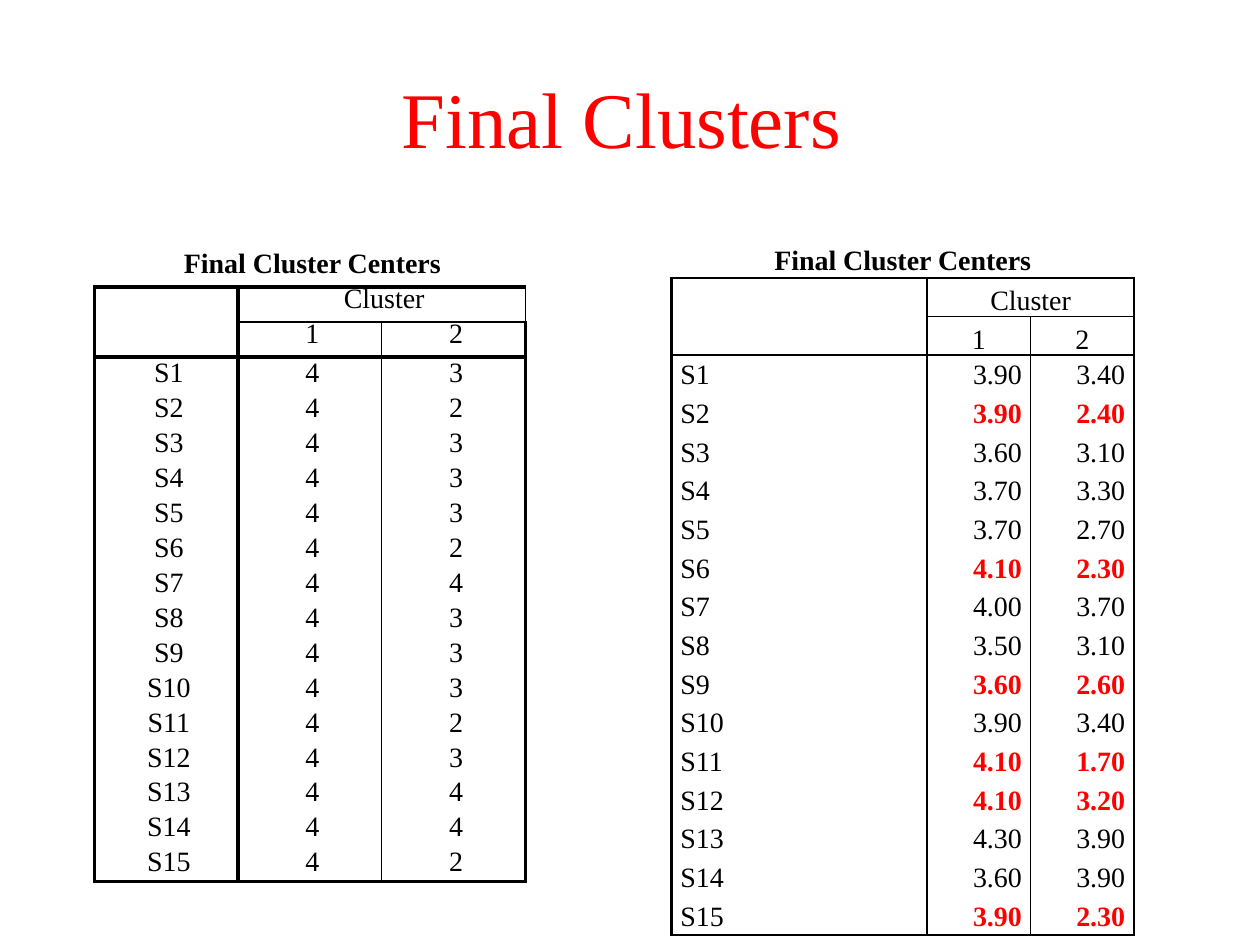
import pptx
import pptx.util
import pptx.dml.color
import pptx.enum.text
import pptx.oxml.ns
from lxml import etree

Inches = pptx.util.Inches
Pt = pptx.util.Pt
qn = pptx.oxml.ns.qn
ALIGN = pptx.enum.text.PP_ALIGN
ANCHOR = pptx.enum.text.MSO_ANCHOR
SERIF = "Times New Roman"
RED, BLACK, WHITE = "FF0000", "000000", "FFFFFF"

COUNTS = [(4, int(n)) for n in "323332433323442"]
MEANS = [
    ("3.90", "3.40"), ("3.90", "2.40"), ("3.60", "3.10"), ("3.70", "3.30"),
    ("3.70", "2.70"), ("4.10", "2.30"), ("4.00", "3.70"), ("3.50", "3.10"),
    ("3.60", "2.60"), ("3.90", "3.40"), ("4.10", "1.70"), ("4.10", "3.20"),
    ("4.30", "3.90"), ("3.60", "3.90"), ("3.90", "2.30"),
]
MARKED = {"S2", "S6", "S9", "S11", "S12", "S15"}


def color(code):
    return pptx.dml.color.RGBColor.from_string(code)


def add_run(para, text, size, code=BLACK, bold=False, face=SERIF):
    run = para.add_run()
    run.text = text
    run.font.size = Pt(size)
    run.font.name = face
    run.font.bold = bold
    run.font.color.rgb = color(code)


def add_title(slide, left, top, width, height):
    box = slide.shapes.add_textbox(
        Inches(left), Inches(top), Inches(width), Inches(height))
    frame = box.text_frame
    frame.word_wrap = True
    frame.vertical_anchor = ANCHOR.MIDDLE
    para = frame.paragraphs[0]
    para.alignment = ALIGN.CENTER
    add_run(para, "Final Clusters", 45, RED)
    add_run(para, " ", 44, face="Calibri")


def draw_edges(cell, widths):
    props = cell._tc.get_or_add_tcPr()
    for side, width in zip("LRTB", widths):
        line = etree.SubElement(props, qn("a:ln" + side), w=str(Pt(width)))
        if width:
            fill = etree.SubElement(line, qn("a:solidFill"))
            etree.SubElement(fill, qn("a:srgbClr"), val=BLACK)
        else:
            etree.SubElement(line, qn("a:noFill"))


def find_edges(row, col, last, thick, rim):
    if row == 0:
        return 0, 0, 0, thick
    left = thick if col < 2 else 1
    right = 1 if col == 1 else thick
    if row == 1 and col > 0:
        right = rim
    split = 1 if col > 0 else 0
    top = {1: thick, 2: split, 3: thick}.get(row, 0)
    base = {1: split, 2: thick, last: thick}.get(row, 0)
    return left, right, top, base


def add_centers(slide, box, cols, data, thick, rim, pad, space, indent,
                aligns, anchors, marked, back):
    rows = [("Final Cluster Centers", "", ""), ("", "Cluster", ""), ("", "1", "2")]
    rows += [(f"S{i}", str(a), str(b)) for i, (a, b) in enumerate(data, 1)]
    last = len(rows) - 1
    table = slide.shapes.add_table(
        len(rows), len(cols), *[Inches(n) for n in box]).table
    table.first_row = False
    table.horz_banding = False
    for col, width in zip(table.columns, cols):
        col.width = Inches(width)
    for start, end in (((0, 0), (0, 2)), ((1, 0), (2, 0)), ((1, 1), (1, 2))):
        table.cell(*start).merge(table.cell(*end))

    for r, texts in enumerate(rows):
        for c, text in enumerate(texts):
            cell = table.cell(r, c)
            draw_edges(cell, find_edges(r, c, last, thick, rim))
            if back:
                cell.fill.solid()
                cell.fill.fore_color.rgb = color(back)
            else:
                cell.fill.background()
            cell.margin_left = cell.margin_right = Inches(pad)
            cell.margin_top = cell.margin_bottom = 0
            cell.vertical_anchor = anchors[min(r, 3)]
            para = cell.text_frame.paragraphs[0]
            para.line_spacing = space
            para.alignment = ALIGN.CENTER if r < 3 else aligns[c]
            if indent:
                props = para._p.get_or_add_pPr()
                props.set("marL", str(Inches(indent)))
                props.set("indent", "0")
            if text:
                hot = c > 0 and texts[0] in marked
                add_run(para, text, 16, RED if hot else BLACK, hot or r == 0)
            else:
                etree.SubElement(para._p, qn("a:endParaRPr"), sz="1600")


def main():
    deck = pptx.Presentation()
    deck.slide_width = Inches(10)
    deck.slide_height = Inches(7.5)
    slide = deck.slides.add_slide(deck.slide_layouts[6])
    add_title(slide, 0.5, 0.3, 9, 1.25)
    add_centers(
        slide, (0.75, 2, 3.42, 5), (1.14, 1.14, 1.14), COUNTS,
        thick=2.25, rim=1, pad=0, space=Pt(16), indent=0.04,
        aligns=[ALIGN.CENTER] * 3,
        anchors=[ANCHOR.TOP] * 3 + [ANCHOR.MIDDLE],
        marked=(), back=WHITE)
    add_centers(
        slide, (5.33, 1.9, 3.67, 5.08), (2.03, 0.82, 0.82), MEANS,
        thick=1.5, rim=1.5, pad=0.07, space=1.15, indent=0,
        aligns=[ALIGN.LEFT, ALIGN.RIGHT, ALIGN.RIGHT],
        anchors=[ANCHOR.MIDDLE, ANCHOR.BOTTOM, ANCHOR.BOTTOM, ANCHOR.TOP],
        marked=MARKED, back=None)
    deck.save("out.pptx")


if __name__ == "__main__":
    main()
